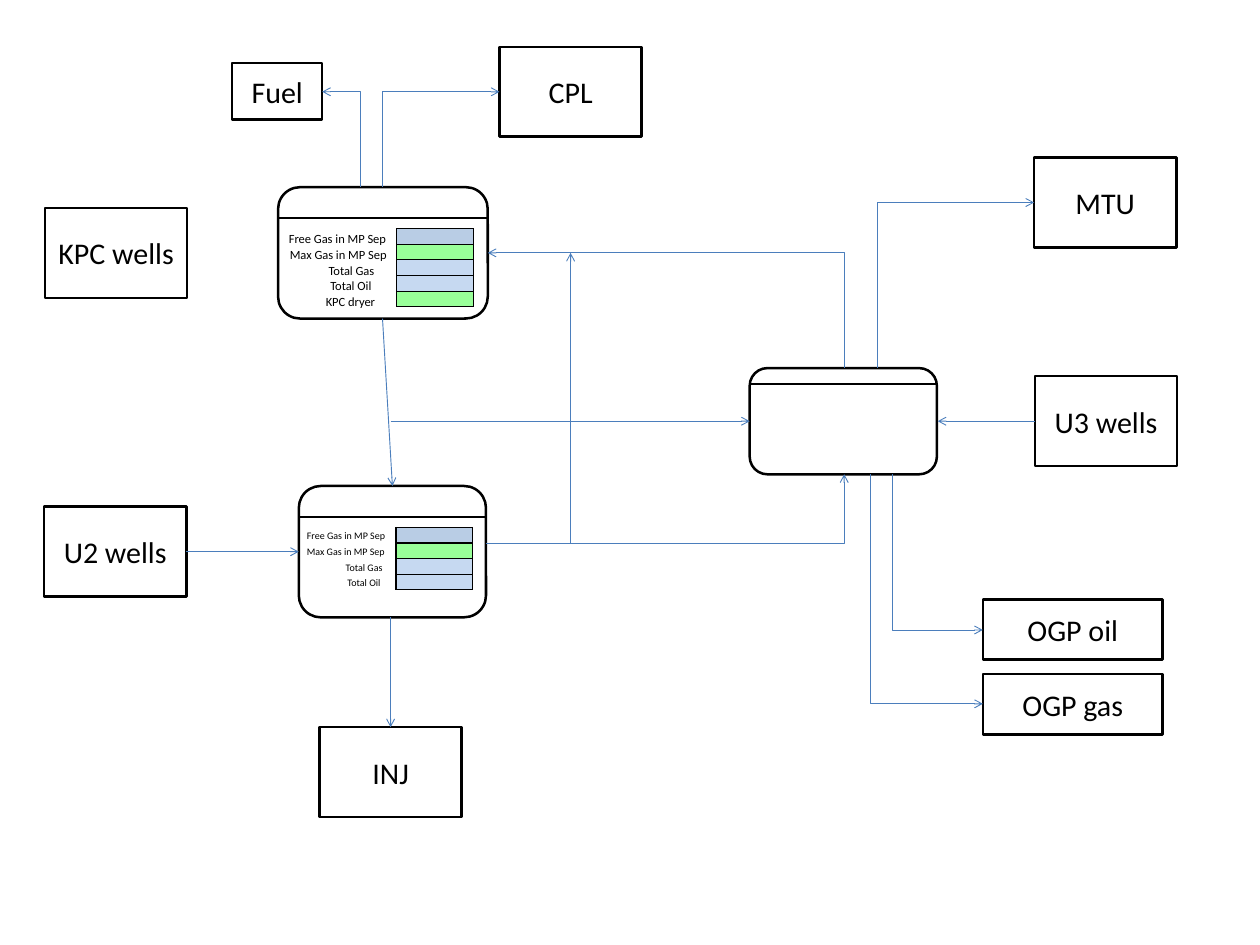
from lxml.etree import SubElement
from pptx import Presentation
from pptx.dml.color import RGBColor
from pptx.enum.shapes import MSO_CONNECTOR, MSO_SHAPE
from pptx.enum.text import MSO_ANCHOR, MSO_AUTO_SIZE, PP_ALIGN
from pptx.oxml.ns import qn
from pptx.util import Inches, Pt

COLORS = {"ink": "000000", "paper": "FFFFFF", "flow": "4B7EBC",
          "free": "B9CDE5", "limit": "99FF99", "total": "C6D9F1"}
FONT = "Calibri"

# Label, left, top, width, height
BOXES = [
    ("CPL", 5.55, 0.52, 1.58, 1),
    ("KPC wells", 0.5, 2.31, 1.58, 1),
    ("U2 wells", 0.49, 5.63, 1.58, 1),
    ("U3 wells", 11.5, 4.18, 1.58, 1),
    ("INJ", 3.55, 8.08, 1.58, 1),
    ("MTU", 11.49, 1.75, 1.58, 1),
    ("Fuel", 2.58, 0.7, 1, 0.63),
    ("OGP oil", 10.92, 6.66, 2, 0.67),
    ("OGP gas", 10.92, 7.49, 2, 0.67),
]

# Frame of each vessel and depth of its header
VESSELS = [
    {"frame": (3.09, 2.08, 2.33, 1.46), "header": 0.34},
    {"frame": (8.33, 4.09, 2.08, 1.18), "header": 0.18},
    {"frame": (3.32, 5.4, 2.08, 1.46), "header": 0.34},
]
# Each row: label, left, width, cell colour
READINGS = [
    {"table": (4.41, 2.54), "label_top": 2.5, "size": 10, "height": 0.3, "rows": [
        ("Free Gas in MP Sep", 3.08, 1.36, "free"),
        ("Max Gas in MP Sep", 3.09, 1.35, "limit"),
        ("Total Gas", 3.52, 0.79, "total"),
        ("Total Oil", 3.54, 0.74, "total"),
        ("KPC dryer", 3.49, 0.9, "limit")]},
    {"table": (4.4, 5.86), "label_top": 5.82, "size": 8, "height": 0.27, "rows": [
        ("Free Gas in MP Sep", 3.28, 1.14, "free"),
        ("Max Gas in MP Sep", 3.28, 1.14, "limit"),
        ("Total Gas", 3.71, 0.69, "total"),
        ("Total Oil", 3.73, 0.65, "total")]},
]
CELL_WIDTH = 0.85
ROW_HEIGHT = 0.87 / 5

# Start and end points of the flows
STRAIGHT_FLOWS = [
    ((4.25, 3.54), (4.36, 5.4)),
    ((4.34, 4.68), (8.33, 4.68)),
    ((6.34, 6.04), (6.34, 2.81)),
    ((2.07, 6.13), (3.32, 6.13)),
    ((11.5, 4.68), (10.42, 4.68)),
    ((4.34, 6.86), (4.34, 8.08)),
]
ACROSS_FIRST_FLOWS = [((5.4, 6.04), (9.38, 5.27))]
UPRIGHT_FIRST_FLOWS = [
    ((9.38, 4.09), (5.42, 2.81)),
    ((9.75, 4.09), (11.49, 2.25)),
    ((9.92, 5.27), (10.92, 7)),
    ((9.67, 5.27), (10.92, 7.82)),
    ((4.25, 2.08), (5.55, 1.02)),
    ((4, 2.08), (3.58, 1.02)),
]


def color(name):
    """Return the named colour."""
    return RGBColor.from_string(COLORS[name])


def write(box, text, size, align=PP_ALIGN.LEFT):
    """Put one formatted line of text into a shape."""
    para = box.text_frame.paragraphs[0]
    para.alignment = align
    span = para.add_run()
    span.text = text
    span.font.name, span.font.size = FONT, Pt(size)
    span.font.color.rgb = color("ink")


def add_outline(page, kind, frame, text=None):
    """Add a white shape with a black outline and an optional centred label."""
    box = page.shapes.add_shape(kind, *map(Inches, frame))
    box.shadow.inherit = False
    box.fill.solid()
    box.fill.fore_color.rgb = color("paper")
    box.line.color.rgb = color("ink")
    box.line.width = Pt(2)
    if text:
        box.text_frame.vertical_anchor = MSO_ANCHOR.MIDDLE
        write(box, text, 24, align=PP_ALIGN.CENTER)


def add_line(page, start, end, stroke="flow", width=0.75, arrow=True,
             kind=MSO_CONNECTOR.STRAIGHT):
    """Add a line without shadow, with an arrowhead at its end if wanted."""
    line = page.shapes.add_connector(kind, *map(Inches, (*start, *end)))
    line.line.color.rgb = color(stroke)
    line.line.width = Pt(width)
    properties = line._element.spPr
    if arrow:
        SubElement(properties.find(qn("a:ln")), qn("a:tailEnd"), type="arrow")
    SubElement(properties, qn("a:effectLst"))
    return line


def add_bend(page, start, end, upright_first):
    """Add an arrow with one right-angled corner."""
    (x1, y1), (x2, y2) = start, end
    if upright_first:  # the same corner, laid out before a turn of 270 degrees
        middle_x, middle_y = (x1 + x2) / 2, (y1 + y2) / 2
        half_x, half_y = (x2 - x1) / 2, (y2 - y1) / 2
        start = middle_x + half_y, middle_y - half_x
        end = middle_x - half_y, middle_y + half_x
    bend = add_line(page, start, end, kind=MSO_CONNECTOR.ELBOW)
    properties = bend._element.spPr
    properties.find(qn("a:prstGeom")).set("prst", "bentConnector2")
    if upright_first:
        properties.find(qn("a:xfrm")).set("rot", str(270 * 60000))


def add_vessel(page, frame, header):
    """Add a rounded vessel with a header rule."""
    left, top, width, _ = frame
    add_outline(page, MSO_SHAPE.ROUNDED_RECTANGLE, frame)
    add_line(page, (left, top + header), (left + width, top + header),
             stroke="ink", width=1.5, arrow=False)


def format_cell(cell, fill):
    """Give an empty cell black borders, a fill and a small text height."""
    cell.margin_left = cell.margin_right = cell.margin_top = cell.margin_bottom = 0
    SubElement(cell.text_frame.paragraphs[0]._p, qn("a:endParaRPr"), sz="800")
    properties = cell._tc.get_or_add_tcPr()
    for side in ("lnL", "lnR", "lnT", "lnB"):
        border = SubElement(properties, qn("a:" + side), w=str(Pt(1)))
        paint = SubElement(border, qn("a:solidFill"))
        SubElement(paint, qn("a:srgbClr"), val=COLORS["ink"])
    cell.fill.solid()
    cell.fill.fore_color.rgb = color(fill)


def add_readings(page, table, label_top, size, height, rows):
    """Add a column of coloured cells with a label beside each."""
    grid = page.shapes.add_table(
        len(rows), 1, *map(Inches, (*table, CELL_WIDTH, ROW_HEIGHT * len(rows)))).table
    grid.first_row = grid.horz_banding = False
    for index, (text, left, width, fill) in enumerate(rows):
        grid.rows[index].height = Inches(ROW_HEIGHT)
        format_cell(grid.cell(index, 0), fill)
        top = label_top + index * ROW_HEIGHT
        label = page.shapes.add_textbox(*map(Inches, (left, top, width, height)))
        frame = label.text_frame
        frame.word_wrap = False
        frame.auto_size = MSO_AUTO_SIZE.SHAPE_TO_FIT_TEXT
        frame.margin_left = frame.margin_right = Inches(0.13)
        frame.margin_top = frame.margin_bottom = Inches(0.07)
        write(label, text, size)


deck = Presentation()
deck.slide_width, deck.slide_height = Inches(14), Inches(10.5)
page = deck.slides.add_slide(deck.slide_layouts[6])

for vessel in VESSELS:
    add_vessel(page, **vessel)
for name, *place in BOXES:
    add_outline(page, MSO_SHAPE.RECTANGLE, place, text=name)
for start, end in STRAIGHT_FLOWS:
    add_line(page, start, end)
for start, end in ACROSS_FIRST_FLOWS:
    add_bend(page, start, end, upright_first=False)
for start, end in UPRIGHT_FIRST_FLOWS:
    add_bend(page, start, end, upright_first=True)
for readings in READINGS:
    add_readings(page, **readings)

deck.save("out.pptx")
